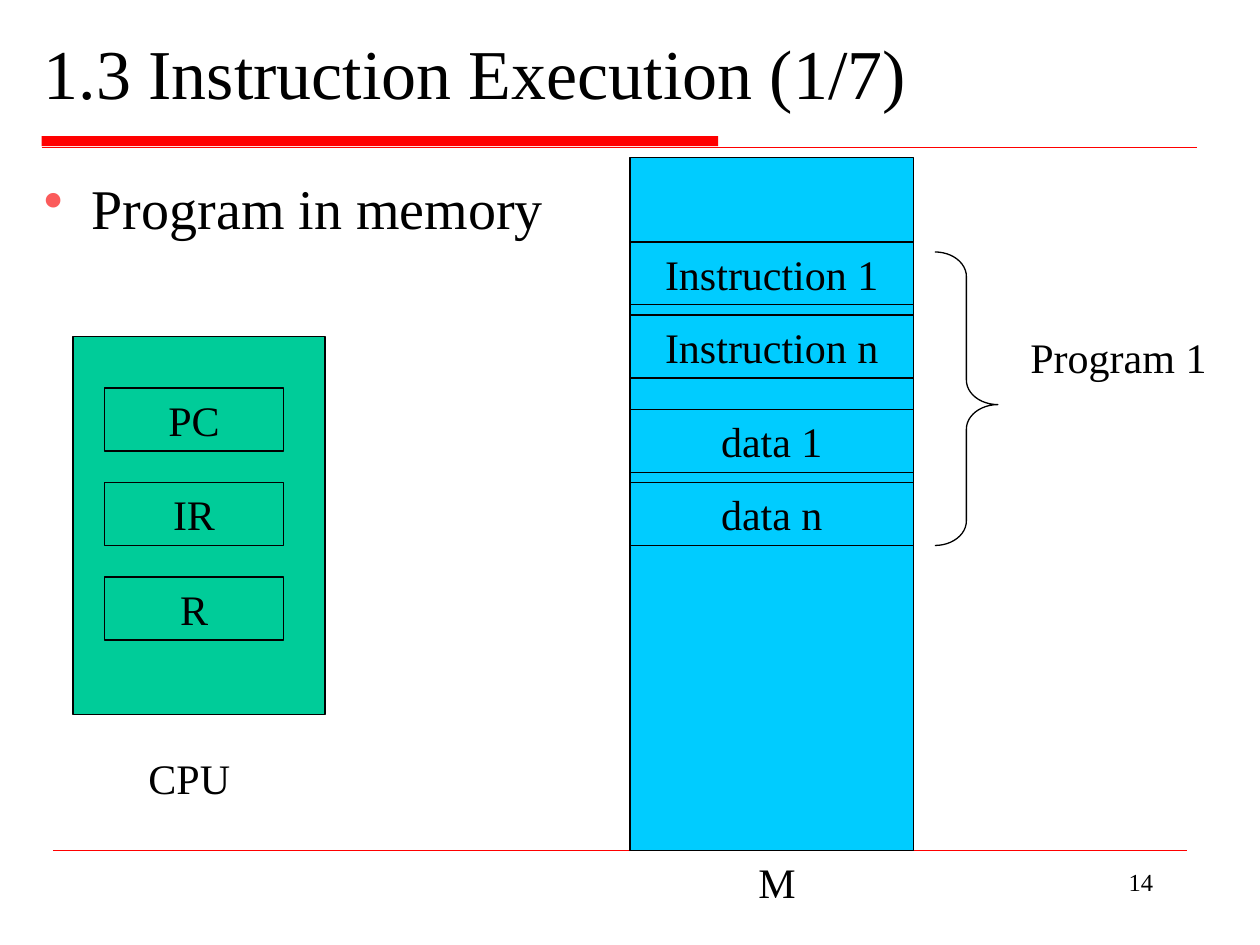
from lxml.etree import SubElement
from pptx import Presentation
from pptx.dml.color import RGBColor
from pptx.enum.shapes import MSO_CONNECTOR, MSO_SHAPE
from pptx.enum.text import MSO_ANCHOR, PP_ALIGN
from pptx.oxml.ns import qn
from pptx.util import Inches, Pt

FONT = "Times New Roman"
BLACK, RED, BULLET_RED = "000000", "FF0000", "FB5B5B"
CPU_GREEN, MEMORY_BLUE = "00CC99", "00CCFF"
CELL_HEIGHT = 0.5


def color(hex_code):
    return RGBColor.from_string(hex_code)


class SlideBuilder:
    def __init__(self, slide):
        self.shapes = slide.shapes

    def set_text(self, shape, text, size=24, align=PP_ALIGN.LEFT,
                 anchor=MSO_ANCHOR.TOP, wrap=True):
        frame = shape.text_frame
        frame.word_wrap = wrap
        frame.vertical_anchor = anchor
        para = frame.paragraphs[0]
        para.text = text
        para.alignment = align
        para.font.name = FONT
        para.font.size = Pt(size)
        para.font.color.rgb = color(BLACK)
        return para

    def text(self, text, left, top, width, height, **style):
        box = self.shapes.add_textbox(
            Inches(left), Inches(top), Inches(width), Inches(height))
        return self.set_text(box, text, **style)

    def shape(self, kind, left, top, width, height, fill=None, line=BLACK):
        shape = self.shapes.add_shape(
            kind, Inches(left), Inches(top), Inches(width), Inches(height))
        shape.shadow.inherit = False
        if fill:
            shape.fill.solid()
            shape.fill.fore_color.rgb = color(fill)
        else:
            shape.fill.background()
        if line:
            shape.line.color.rgb = color(line)
            shape.line.width = Pt(0.75)
        else:
            shape.line.fill.background()
        return shape

    def rectangle(self, *place, **style):
        return self.shape(MSO_SHAPE.RECTANGLE, *place, **style)

    def cell(self, text, left, top, width, fill):
        box = self.rectangle(left, top, width, CELL_HEIGHT, fill=fill)
        self.set_text(box, text, align=PP_ALIGN.CENTER,
                      anchor=MSO_ANCHOR.MIDDLE, wrap=False)

    def rule(self, left, right, top, weight):
        line = self.shapes.add_connector(
            MSO_CONNECTOR.STRAIGHT,
            Inches(left), Inches(top), Inches(right), Inches(top))
        line.line.color.rgb = color(RED)
        line.line.width = Pt(weight)
        SubElement(line._element.spPr, qn("a:effectLst"))

    def bullet(self, text, left, top, width, height, size):
        para = self.text(text, left, top, width, height, size=size)
        para.space_before = Pt(8)
        properties = para._p.get_or_add_pPr()
        properties.set("marL", str(Inches(0.38)))
        properties.set("indent", str(Inches(-0.38)))
        # Bullet settings must stand before the default run properties.
        defaults = properties.find(qn("a:defRPr"))
        bullet_color = SubElement(properties, qn("a:buClr"))
        SubElement(bullet_color, qn("a:srgbClr"), val=BULLET_RED)
        SubElement(properties, qn("a:buChar"), char="•")
        properties.append(defaults)

    def brace(self, left, top, width, height):
        brace = self.shape(MSO_SHAPE.RIGHT_BRACE, left, top, width, height)
        brace.adjustments[0] = 0.39
        brace.adjustments[1] = 0.52


def main():
    deck = Presentation()
    deck.slide_width, deck.slide_height = Inches(10), Inches(7.5)
    page = SlideBuilder(deck.slides.add_slide(deck.slide_layouts[6]))

    page.rectangle(0.33, 1.08, 5.37, 0.08, fill=RED, line=None)
    page.rule(0.33, 9.5, 1.17, 0.75)
    page.rule(0.42, 9.42, 6.75, 0.25)
    page.text("14", 7.17, 6.83, 2.08, 0.5, size=14, align=PP_ALIGN.RIGHT)
    title = page.text("1.3 Instruction Execution (1/7)", 0.25, 0.17, 9.33, 0.92,
                      size=40, anchor=MSO_ANCHOR.MIDDLE)
    title.line_spacing = 0.8
    page.bullet("Program in memory", 0.25, 1.33, 9.33, 5.33, size=32)

    page.rectangle(0.58, 2.67, 2, 3, fill=CPU_GREEN)
    for row, register in enumerate(("PC", "IR", "R")):
        page.cell(register, 0.83, 3.08 + 0.75 * row, 1.42, CPU_GREEN)
    page.text("CPU", 1.08, 5.92, 1, 0.5)

    page.rectangle(5, 1.25, 2.25, 5.5, fill=MEMORY_BLUE)
    memory_cells = (("Instruction 1", 1.92), ("Instruction n", 2.5),
                    ("data 1", 3.25), ("data n", 3.83))
    for content, top in memory_cells:
        page.cell(content, 5, top, 2.25, MEMORY_BLUE)
    page.text("M", 5.92, 6.75, 0.83, 0.5)

    page.brace(7.42, 2, 0.5, 2.33)
    page.text("Program 1", 8.08, 2.58, 1.83, 0.5)

    deck.save("out.pptx")


if __name__ == "__main__":
    main()
